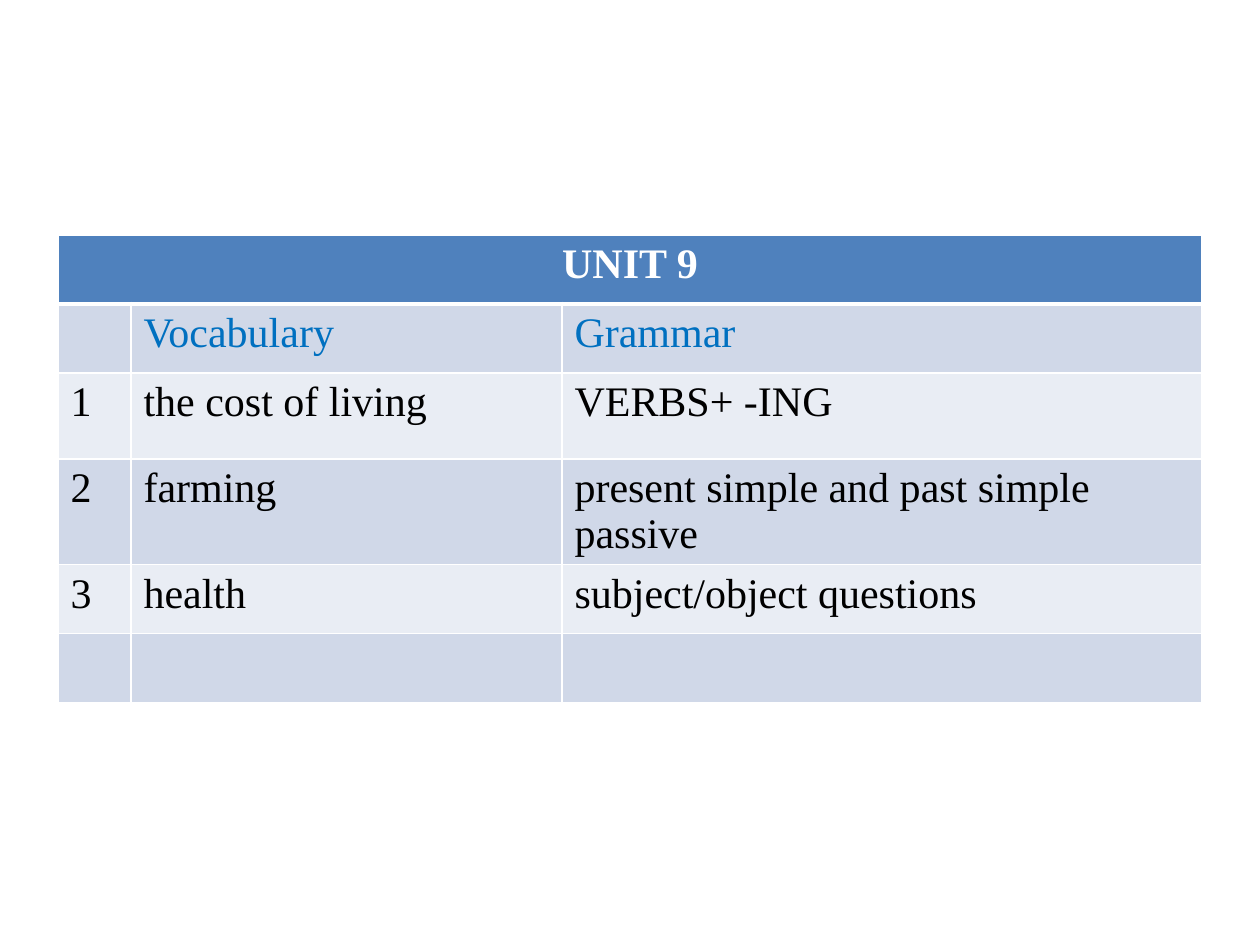
import pptx
import pptx.util
import pptx.dml.color
import pptx.enum.text
import pptx.oxml.ns
from lxml import etree

RGB = pptx.dml.color.RGBColor
WHITE = RGB(0xFF, 0xFF, 0xFF)
BLACK = RGB(0x00, 0x00, 0x00)
BLUE = RGB(0x00, 0x70, 0xC0)
HEADER = RGB(0x4F, 0x81, 0xBD)
BANDS = (RGB(0xE9, 0xED, 0xF4), RGB(0xD0, 0xD8, 0xE8))
FONT = "Times New Roman"

ROWS = [
    ("UNIT 9", "", ""),
    ("", "Vocabulary", "Grammar"),
    ("1", "the cost of living", "VERBS+ -ING"),
    ("2", "farming", "present simple and past simple passive"),
    ("3", "health", "subject/object questions"),
    ("", "", ""),
]
COL_WIDTHS = (73, 431, 640)
ROW_HEIGHTS = (69, 69, 86, 69, 69, 69)
LEFT, TOP = 58, 235


def px(n):
    return pptx.util.Emu(round(n * 914400 / 126))


def set_borders(cell, bottom):
    """White lines on all four sides, 1 pt except the bottom one."""
    tcPr = cell._tc.get_or_add_tcPr()
    for side, width in (("L", 1), ("R", 1), ("T", 1), ("B", bottom)):
        ln = etree.SubElement(tcPr, pptx.oxml.ns.qn(f"a:ln{side}"),
                              w=str(pptx.util.Pt(width)))
        fill = etree.SubElement(ln, pptx.oxml.ns.qn("a:solidFill"))
        etree.SubElement(fill, pptx.oxml.ns.qn("a:srgbClr"), val=str(WHITE))


def write(cell, text, color, bold):
    p = cell.text_frame.paragraphs[0]
    r = p.add_run()
    r.text = text
    r.font.name = FONT
    r.font.size = pptx.util.Pt(24)
    r.font.bold = bold
    r.font.color.rgb = color
    return p


prs = pptx.Presentation()
prs.slide_width, prs.slide_height = px(1260), px(945)
s = prs.slides.add_slide(prs.slide_layouts[6])

table = s.shapes.add_table(len(ROWS), len(COL_WIDTHS), px(LEFT), px(TOP),
                           px(sum(COL_WIDTHS)), px(sum(ROW_HEIGHTS))).table
for column, width in zip(table.columns, COL_WIDTHS):
    column.width = px(width)
for row, height in zip(table.rows, ROW_HEIGHTS):
    row.height = px(height)

for i, texts in enumerate(ROWS):
    is_header = i == 0
    color = {0: WHITE, 1: BLUE}.get(i, BLACK)
    for j, text in enumerate(texts):
        cell = table.cell(i, j)
        set_borders(cell, 3 if is_header else 1)
        cell.fill.solid()
        cell.fill.fore_color.rgb = HEADER if is_header else BANDS[i % 2]
        if text:
            p = write(cell, text, color, is_header)
            if is_header:
                p.alignment = pptx.enum.text.PP_ALIGN.CENTER
table.cell(0, 0).merge(table.cell(0, len(COL_WIDTHS) - 1))

prs.save("out.pptx")
